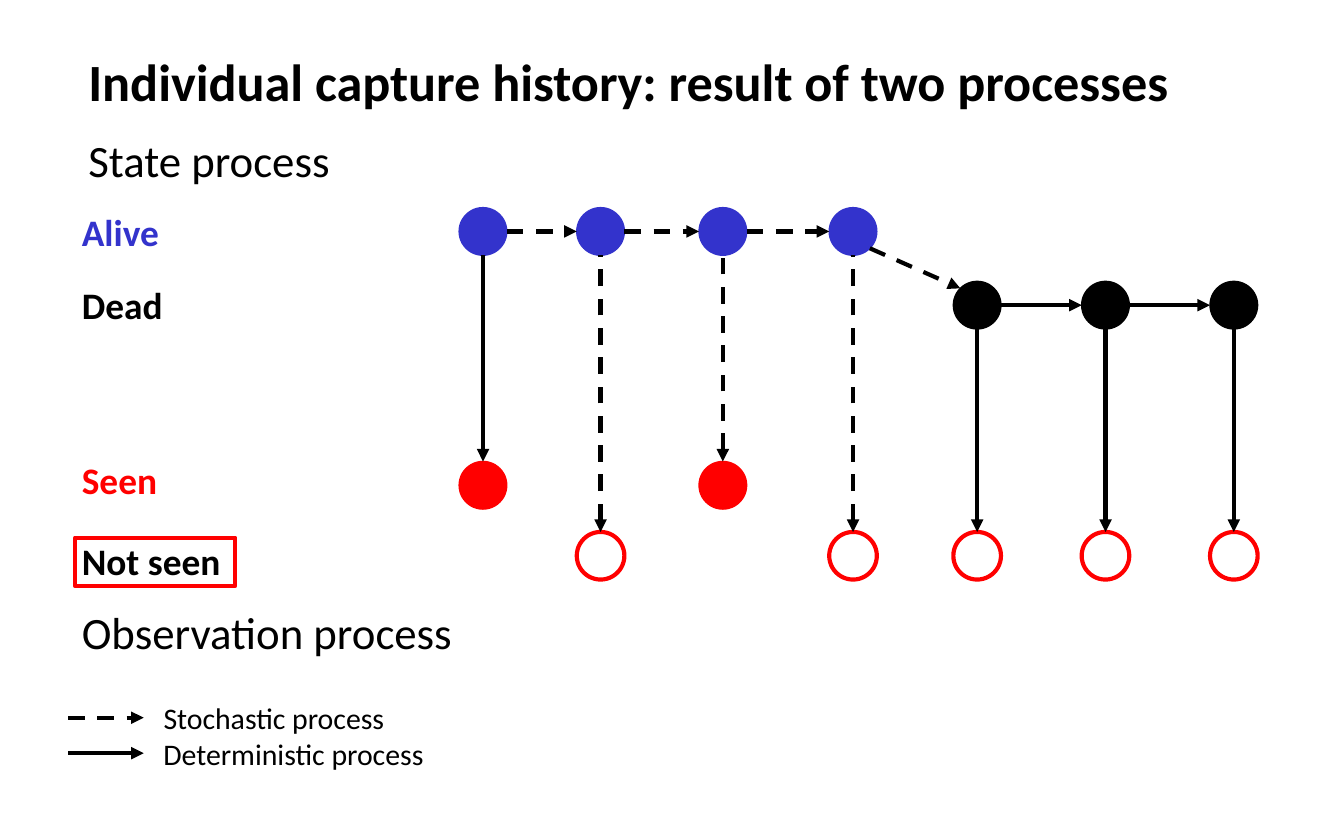
"""Build a slide on the state and observation processes behind a capture history."""
from itertools import pairwise
from math import sqrt

from lxml import etree
from pptx import Presentation
from pptx.dml.color import RGBColor
from pptx.enum.dml import MSO_LINE
from pptx.enum.shapes import MSO_CONNECTOR, MSO_SHAPE
from pptx.enum.text import MSO_AUTO_SIZE
from pptx.oxml.ns import qn
from pptx.util import Pt

DASH = MSO_LINE.DASH
STRAIGHT = MSO_CONNECTOR.STRAIGHT
OVAL = MSO_SHAPE.OVAL
RECTANGLE = MSO_SHAPE.RECTANGLE
FIT_TEXT = MSO_AUTO_SIZE.SHAPE_TO_FIT_TEXT

COLORS = {"alive": "3333CC", "ink": "000000", "seen": "FF0000"}
FONT = "Calibri"
RADIUS = 12.75
THIN, THICK = 0.75, 2.25
STATE_Y = {"alive": 124, "dead": 163.5}
SEEN_Y, UNSEEN_Y = 260, 297.75
OCCASIONS = [
    (258.75, "alive", True),
    (321.75, "alive", False),
    (387.25, "alive", True),
    (457, "alive", False),
    (523.5, "dead", False),
    (592.25, "dead", False),
    (661, "dead", False),
]


def color(name):
    """Return the named colour."""
    return RGBColor.from_string(COLORS[name])


def add_text(page, left, top, width, height, size, lines, bold=False, gap=0):
    """Add an unwrapped box with one paragraph for each (text, colour) line."""
    box = page.shapes.add_textbox(Pt(left), Pt(top), Pt(width), Pt(height))
    frame = box.text_frame
    frame.word_wrap = False
    frame.auto_size = FIT_TEXT
    for index, (text, ink) in enumerate(lines):
        para = frame.add_paragraph() if index else frame.paragraphs[0]
        para.space_before = Pt(gap if index else 0)
        span = para.add_run()
        span.text = text
        span.font.name = FONT
        span.font.size = Pt(size)
        span.font.bold = bold
        span.font.color.rgb = color(ink)


def add_outline(page, kind, left, top, width, height, ink, filled=False):
    """Add a shape that is either solid or only a thick outline."""
    shape = page.shapes.add_shape(kind, Pt(left), Pt(top), Pt(width), Pt(height))
    shape.shadow.inherit = False
    shape.line.color.rgb = color(ink)
    shape.line.width = Pt(THIN if filled else THICK)
    if filled:
        shape.fill.solid()
        shape.fill.fore_color.rgb = color(ink)
    else:
        shape.fill.background()


def add_circle(page, x, y, ink, filled=True):
    """Add a circle centred on x, y."""
    add_outline(page, OVAL, x - RADIUS, y - RADIUS, 2 * RADIUS, 2 * RADIUS, ink, filled)


def add_arrow(page, start, end, dashed, tip="tailEnd"):
    """Add a line with a triangle at its end, or at its start for headEnd."""
    line = page.shapes.add_connector(STRAIGHT, *map(Pt, start + end))
    line.line.color.rgb = color("ink")
    line.line.width = Pt(THICK)
    if dashed:
        line.line.dash_style = DASH
    properties = line._element.spPr
    etree.SubElement(properties.find(qn("a:ln")), qn(f"a:{tip}"), type="triangle")
    etree.SubElement(properties, qn("a:effectLst"))


def add_states(page):
    """Draw the states and the transitions between them."""
    for x, state, _ in OCCASIONS:
        add_circle(page, x, STATE_Y[state], "alive" if state == "alive" else "ink")
    for (x, state, _), (next_x, next_state, _) in pairwise(OCCASIONS):
        dies = state != next_state
        shift_x = RADIUS / sqrt(2) if dies else RADIUS
        shift_y = shift_x if dies else 0
        start = (x + shift_x, STATE_Y[state] + shift_y)
        end = (next_x - shift_x, STATE_Y[next_state] - shift_y)
        add_arrow(page, start, end, state == "alive")


def add_observations(page):
    """Draw each observation and its arrow from the state above."""
    for index, (x, state, seen) in enumerate(OCCASIONS):
        y = SEEN_Y if seen else UNSEEN_Y
        add_circle(page, x, y, "seen", seen)
        dashed = state == "alive" and index > 0
        add_arrow(page, (x, y - RADIUS), (x, STATE_Y[state] + RADIUS), dashed, "headEnd")


def add_legend(page):
    """Explain the dashed and solid arrows."""
    entries = [("Stochastic process", 134.5, True), ("Deterministic process", 155.5, False)]
    for row, (text, width, dashed) in enumerate(entries):
        y = 384.5 + 19 * row
        add_arrow(page, (36.5, y), (77, y), dashed)
        add_text(page, 80.5, y - 13, width, 26.5, 16, [(text, "ink")])


def main():
    """Build and save the deck."""
    deck = Presentation()
    deck.slide_width, deck.slide_height = Pt(720), Pt(450)
    page = deck.slides.add_slide(deck.slide_layouts[6])
    title = "Individual capture history: result of two processes"
    add_text(page, 40.25, 23, 600, 41, 28, [(title, "ink")], bold=True)
    add_text(page, 40.25, 67.75, 144.75, 36, 24, [("State process", "ink")])
    states = [("Alive", "alive"), ("Dead", "ink")]
    add_text(page, 36.75, 108.75, 58.25, 70.5, 20, states, bold=True, gap=14.6)
    add_states(page)
    add_outline(page, RECTANGLE, 40.25, 288, 85.75, 26, "seen")
    add_text(page, 36.75, 320.5, 214.5, 36, 24, [("Observation process", "ink")])
    outcomes = [("Seen", "seen"), ("Not seen", "ink")]
    add_text(page, 36.75, 241.25, 89.25, 75, 20, outcomes, bold=True, gap=19.5)
    add_observations(page)
    add_legend(page)
    deck.save("out.pptx")


if __name__ == "__main__":
    main()
